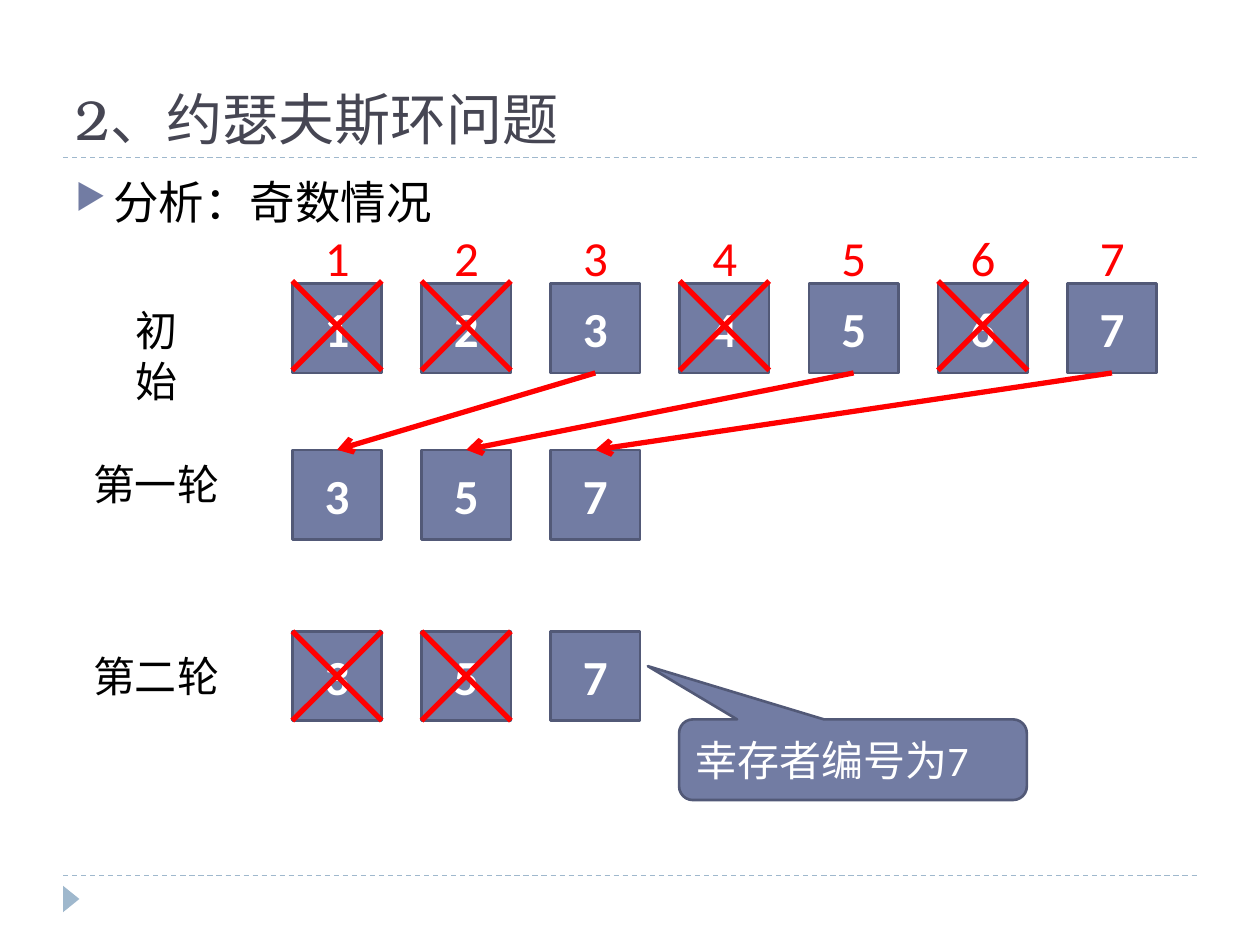
from lxml import etree
from pptx import Presentation
from pptx.dml.color import RGBColor
from pptx.enum.dml import MSO_LINE
from pptx.enum.shapes import MSO_CONNECTOR, MSO_SHAPE
from pptx.enum.text import MSO_ANCHOR, MSO_AUTO_SIZE, PP_ALIGN
from pptx.oxml.ns import qn
from pptx.util import Inches, Pt

STRAIGHT = MSO_CONNECTOR.STRAIGHT
DASH = MSO_LINE.DASH
RECT = MSO_SHAPE.RECTANGLE
TRIANGLE = MSO_SHAPE.ISOSCELES_TRIANGLE
CALLOUT = MSO_SHAPE.ROUNDED_RECTANGULAR_CALLOUT
MIDDLE, BOTTOM, TOP = MSO_ANCHOR.MIDDLE, MSO_ANCHOR.BOTTOM, MSO_ANCHOR.TOP
CENTER, LEFT = PP_ALIGN.CENTER, PP_ALIGN.LEFT
FIT = MSO_AUTO_SIZE.SHAPE_TO_FIT_TEXT

WHITE = RGBColor(0xFF, 0xFF, 0xFF)
BLACK = RGBColor(0, 0, 0)
RED = RGBColor(0xFF, 0, 0)
SLATE = RGBColor(0x72, 0x7C, 0xA3)
SLATE_DARK = RGBColor(0x52, 0x59, 0x77)
TITLE_GREY = RGBColor(0x46, 0x46, 0x53)
PALE_BLUE = RGBColor(0x9F, 0xB8, 0xCD)

TITLE_FONT, BODY_FONT = "TeX Gyre Bonum", "Calibri"
FIRST_X, PITCH, SIDE = 2.32, 1.025, 0.71
LABEL_RIGHT = 1.84

ROUNDS = [
    {"label": "初始", "width": 0.86, "label_y": 2.37, "y": 2.25,
     "numbers": range(1, 8), "out": (1, 2, 4, 6), "cross_dy": -0.02},
    {"label": "第一轮", "width": 1.2, "label_y": 3.59, "y": 3.57,
     "numbers": (3, 5, 7), "out": (), "cross_dy": 0},
    {"label": "第二轮", "width": 1.2, "label_y": 5.11, "y": 5.01,
     "numbers": (3, 5, 7), "out": (3, 5), "cross_dy": 0},
]


def write(tf, text, align=LEFT, anchor=TOP, **font):
    tf.vertical_anchor = anchor
    p = tf.paragraphs[0]
    p.alignment = align
    r = p.add_run()
    r.text = text
    style = {"name": BODY_FONT, "size": Pt(24), "bold": False, **font}
    r.font.color.rgb = style.pop("color")
    for name, value in style.items():
        setattr(r.font, name, value)
    return p


def add_text(s, box, text, wrap=False, **style):
    tf = s.shapes.add_textbox(*map(Inches, box)).text_frame
    tf.word_wrap = wrap
    if not wrap:
        tf.auto_size = FIT
    return write(tf, text, **style)


def add_bullet(p):
    pPr = p._p.get_or_add_pPr()
    pPr.set("marL", str(Inches(0.3)))
    pPr.set("indent", str(-Inches(0.3)))
    color = etree.SubElement(pPr, qn("a:buClr"))
    etree.SubElement(color, qn("a:srgbClr"), val=str(SLATE))
    etree.SubElement(pPr, qn("a:buSzPct"), val="76000")
    etree.SubElement(pPr, qn("a:buChar"), char="▶")


def add_block(s, kind, box, text, **style):
    sp = s.shapes.add_shape(kind, *map(Inches, box))
    sp.shadow.inherit = False
    sp.fill.solid()
    sp.fill.fore_color.rgb = SLATE
    sp.line.color.rgb = SLATE_DARK
    sp.line.width = Pt(1.5)
    sp.text_frame.word_wrap = True
    write(sp.text_frame, text, anchor=MIDDLE, color=WHITE, **style)
    return sp


def add_line(s, x1, y1, x2, y2, color=RED, width=3):
    line = s.shapes.add_connector(STRAIGHT, *map(Inches, (x1, y1, x2, y2)))
    line.line.color.rgb = color
    line.line.width = Pt(width)
    etree.SubElement(line._element.spPr, qn("a:effectLst"))
    return line


def add_rule(s, y):
    rule = add_line(s, 0.5, y, 9.5, y, PALE_BLUE, 0.75)
    rule.line.dash_style = DASH


def add_cross(s, x, y):
    add_line(s, x, y, x + SIDE, y + SIDE)
    add_line(s, x + SIDE, y, x, y + SIDE)


def add_arrow(s, source, target):
    arrow = add_line(s, 0, 0, 1, 1)
    arrow.begin_connect(source, 2)
    arrow.end_connect(target, 0)
    etree.SubElement(arrow.line._get_or_add_ln(), qn("a:tailEnd"), type="arrow")


def add_round(s, label, width, label_y, y, numbers, out, cross_dy):
    add_text(s, (LABEL_RIGHT - width, label_y, width, 0.5), label, color=BLACK)
    squares = {}
    for i, number in enumerate(numbers):
        x = FIRST_X + i * PITCH
        squares[number] = add_block(s, RECT, (x, y, SIDE, SIDE), str(number),
                                    align=CENTER, size=Pt(28), bold=True)
        if number in out:
            add_cross(s, x, y + cross_dy)
    return squares


def add_frame(s):
    for y in (6.95, 1.25):
        add_rule(s, y)
    sp = s.shapes.add_shape(TRIANGLE, *map(Inches, (0.46, 7.07, 0.21, 0.13)))
    sp.rotation = 90
    sp.shadow.inherit = False
    sp.fill.solid()
    sp.fill.fore_color.rgb = PALE_BLUE
    sp.line.fill.background()


def main():
    prs = Presentation()
    prs.slide_width, prs.slide_height = Inches(10), Inches(7.5)
    s = prs.slides.add_slide(prs.slide_layouts[6])
    add_frame(s)
    add_text(s, (0.5, 0.17, 9, 1.08), "2、约瑟夫斯环问题", wrap=True, anchor=BOTTOM,
             name=TITLE_FONT, size=Pt(32), color=TITLE_GREY)
    add_bullet(add_text(s, (0.5, 1.33, 9, 5.4), "分析：奇数情况", wrap=True,
                        size=Pt(26), color=BLACK))

    start, first, _ = [add_round(s, **row) for row in ROUNDS]
    for i, number in enumerate(start):
        add_text(s, (FIRST_X + 0.16 + i * PITCH, 1.76, 0.39, 0.57), str(number),
                 size=Pt(28), color=RED)
    for number, square in first.items():
        add_arrow(s, start[number], square)

    callout = add_block(s, CALLOUT, (5.39, 5.71, 2.76, 0.64), "幸存者编号为7")
    for i, value in enumerate((-0.59, -1.16, 0.17)):
        callout.adjustments[i] = value
    prs.save("out.pptx")


if __name__ == "__main__":
    main()
